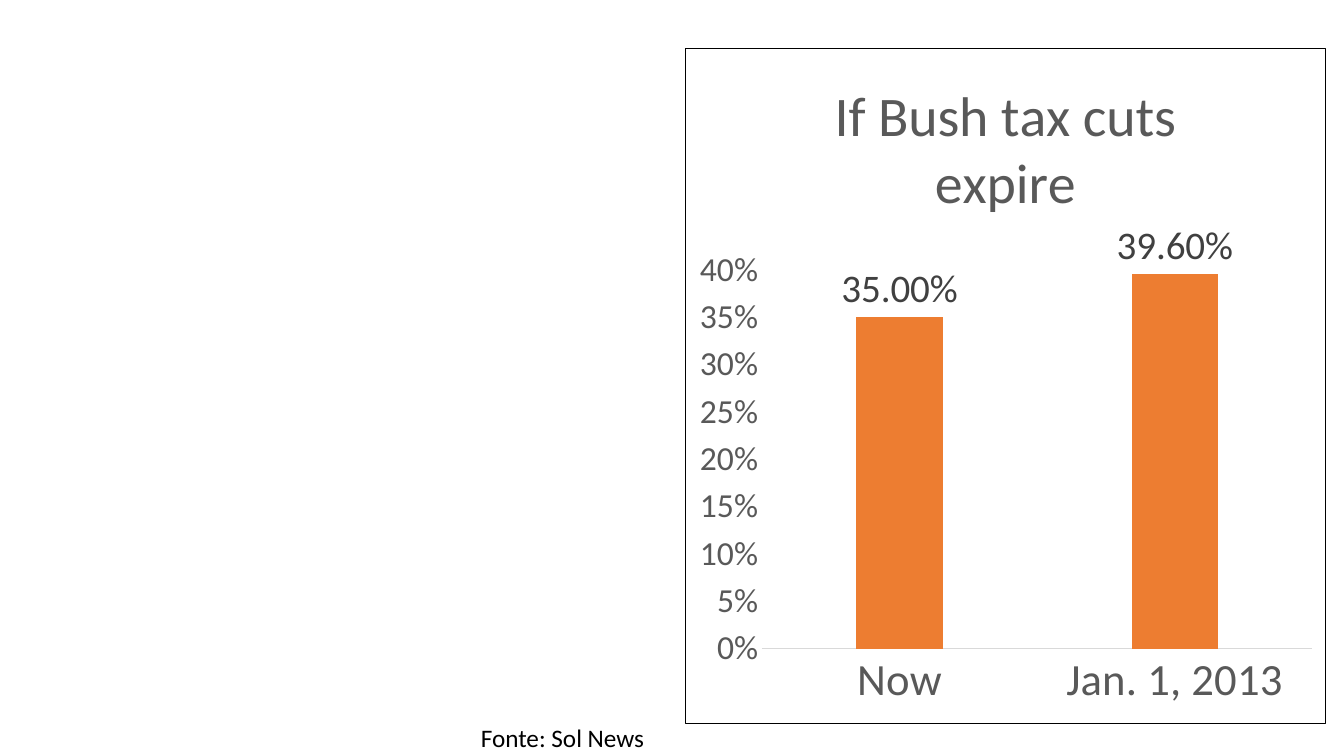
from lxml import etree
from pptx import Presentation
from pptx.chart.data import CategoryChartData
from pptx.dml.color import RGBColor
from pptx.enum.chart import XL_CHART_TYPE, XL_LABEL_POSITION, XL_TICK_MARK
from pptx.enum.text import MSO_AUTO_SIZE
from pptx.oxml import parse_xml
from pptx.oxml.ns import nsdecls, qn
from pptx.util import Inches, Pt

COLUMN = XL_CHART_TYPE.COLUMN_CLUSTERED
ABOVE = XL_LABEL_POSITION.OUTSIDE_END
NO_TICK = XL_TICK_MARK.NONE
FIT = MSO_AUTO_SIZE.SHAPE_TO_FIT_TEXT
FONT = "Calibri"
COLORS = {"black": "000000", "white": "FFFFFF", "gray": "595959",
          "dark": "404040", "rule": "D9D9D9", "bar": "ED7D31"}


def style(font, size, color):
    font.name, font.size, font.bold = FONT, Pt(size), False
    font.color.rgb = RGBColor.from_string(COLORS[color])


def write(frame, text, size=18, color="black"):
    run = frame.paragraphs[0].add_run()
    run.text = text
    style(run.font, size, color)


deck = Presentation()
deck.slide_width, deck.slide_height = Inches(13.33), Inches(7.5)
slide = deck.slides.add_slide(deck.slide_layouts[6])

# Chart and its data
title = "If Bush tax cuts expire"
data = CategoryChartData(number_format="0.00%")
data.categories = ["Now", "Jan. 1, 2013"]
data.add_series(title, [0.35, 0.396])
chart = slide.shapes.add_chart(COLUMN, Inches(6.79), Inches(0.48),
                               Inches(6.36), Inches(6.7), data).chart
style(chart.font, 10, "black")
chart.has_legend = False
chart.has_title = True
write(chart.chart_title.text_frame, title, 40, "gray")
chart.chart_title.include_in_layout = False

# Bars and labels
plot = chart.plots[0]
plot.gap_width, plot.overlap = 219, -27
plot.vary_by_categories = False
fill = plot.series[0].format.fill
fill.solid()
fill.fore_color.rgb = RGBColor.from_string(COLORS["bar"])
plot.has_data_labels = True
labels = plot.data_labels
labels.show_value = True
labels.position = ABOVE
labels.number_format, labels.number_format_is_linked = "0.00%", False
style(labels.font, 28, "dark")

# Axes
for axis, size in ((chart.category_axis, 32), (chart.value_axis, 24)):
    axis.major_tick_mark = axis.minor_tick_mark = NO_TICK
    axis.has_major_gridlines = False
    style(axis.tick_labels.font, size, "gray")
base = chart.category_axis.format.line
base.width = Pt(0.75)
base.color.rgb = RGBColor.from_string(COLORS["rule"])
scale = chart.value_axis
scale.minimum_scale, scale.maximum_scale, scale.major_unit = 0, 0.42, 0.05
scale.tick_labels.number_format = "0%"
scale.tick_labels.number_format_is_linked = False
scale.format.line.fill.background()

# Plot area as shares of the chart
area = chart.element.find(".//" + qn("c:plotArea"))
for old in area.findall(qn("c:layout")):
    area.remove(old)
layout = etree.Element(qn("c:layout"))
area.insert(0, layout)
manual = etree.SubElement(layout, qn("c:manualLayout"))
for tag, val in (("layoutTarget", "inner"), ("xMode", "edge"), ("yMode", "edge"),
                 ("x", 0.12), ("y", 0.3), ("w", 0.86), ("h", 0.59)):
    etree.SubElement(manual, qn("c:" + tag)).set("val", str(val))

# Chart background and border
chart.element.find(qn("c:chart")).addnext(parse_xml(
    f'<c:spPr {nsdecls("c", "a")}>'
    f'<a:solidFill><a:srgbClr val="{COLORS["white"]}"/></a:solidFill>'
    f'<a:ln w="{Pt(0.75)}"><a:solidFill><a:srgbClr val="{COLORS["black"]}"/>'
    '</a:solidFill></a:ln></c:spPr>'))

# Credit line
credit = slide.shapes.add_textbox(Inches(4.67), Inches(7.12), Inches(1.88), Inches(0.4))
credit.text_frame.word_wrap = False
credit.text_frame.auto_size = FIT
write(credit.text_frame, "Fonte: Sol News")

deck.save("out.pptx")
